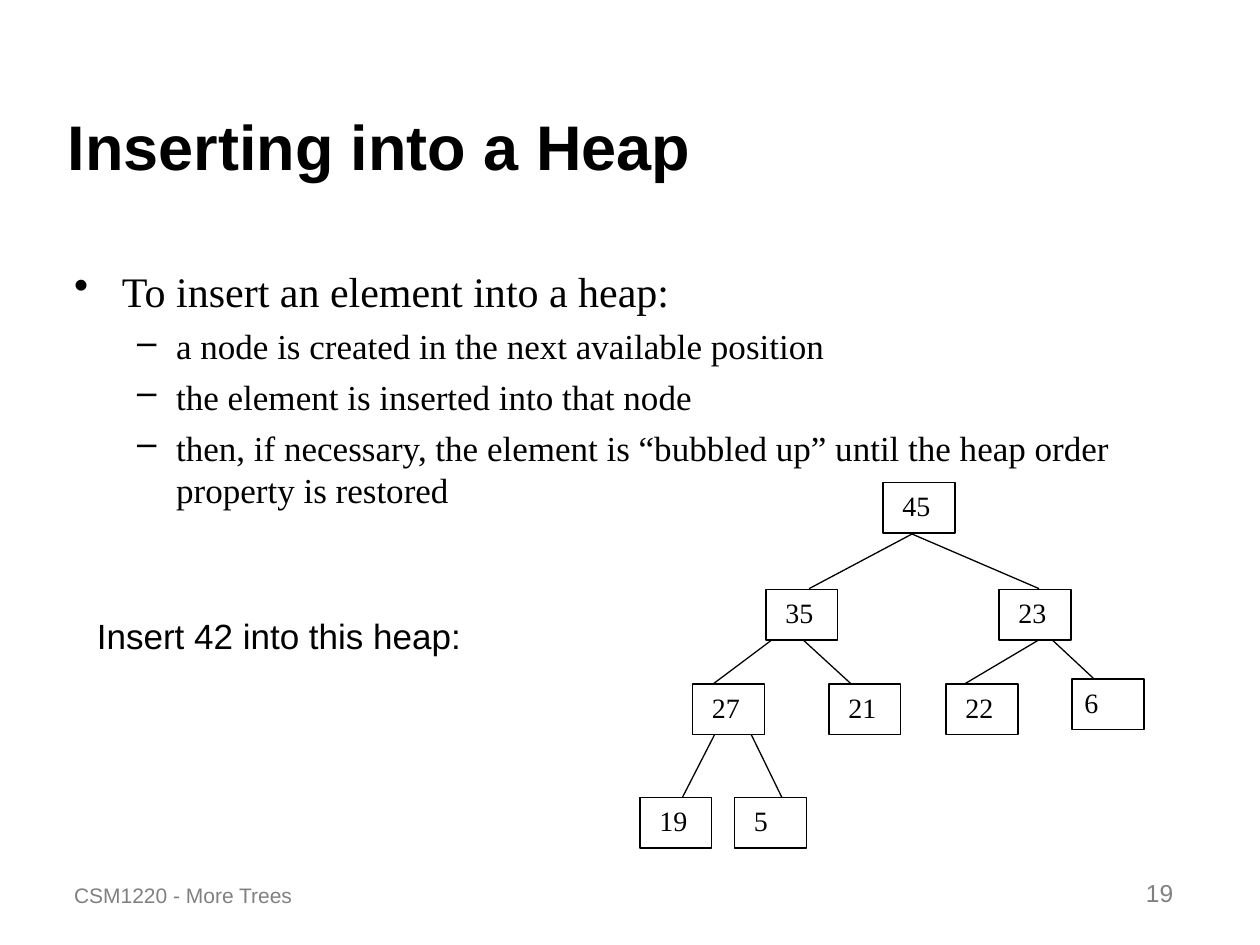
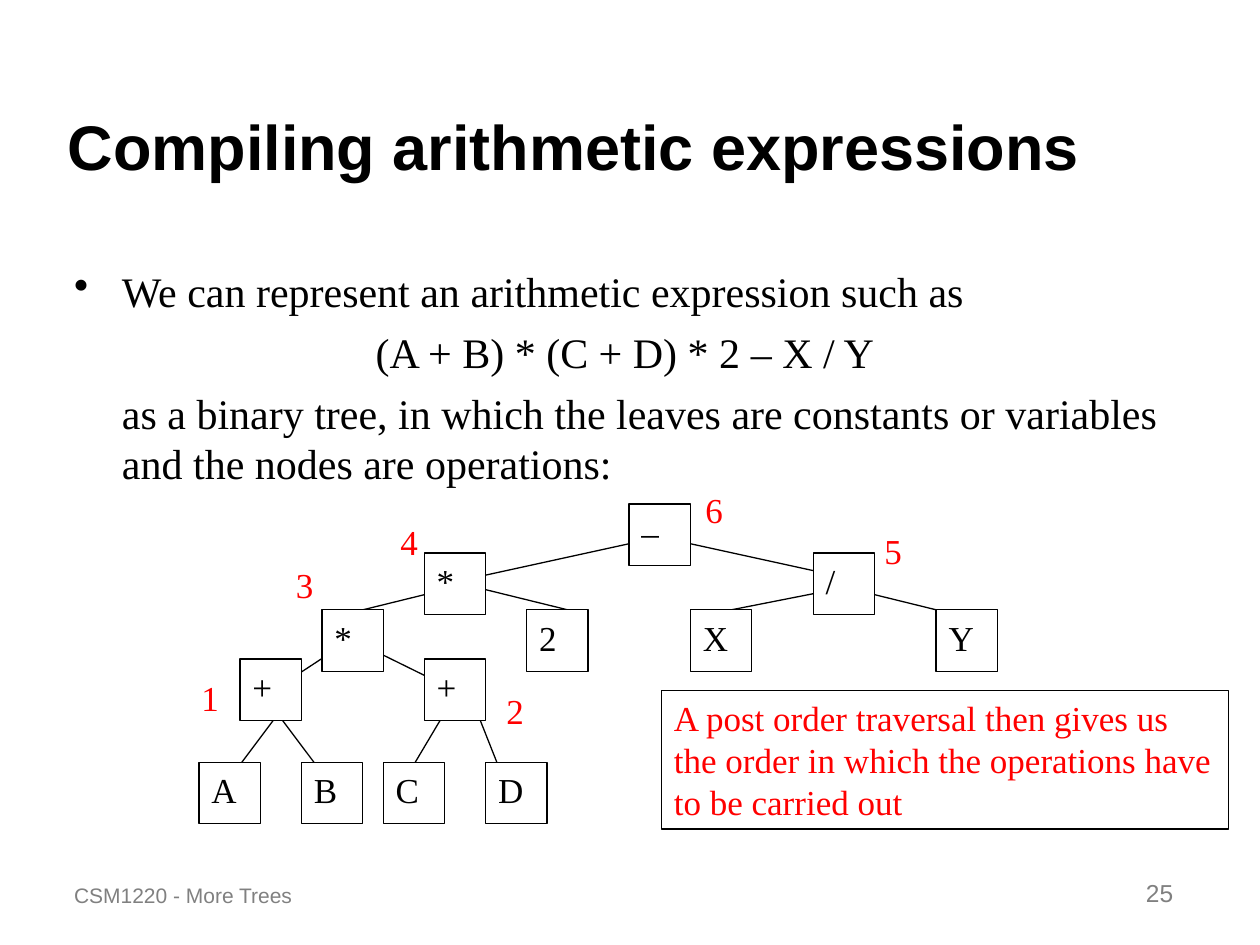
from dataclasses import dataclass
from typing import NamedTuple

from lxml import etree
from pptx import Presentation
from pptx import util as u
from pptx.dml.color import RGBColor
from pptx.enum import shapes, text
from pptx.oxml.ns import qn

# Shared look
BLACK, WHITE, GREY, RED = "000000", "FFFFFF", "808080", "FF0000"
SANS, SERIF = "Arial", "Times New Roman"
FOOTER = "CSM1220 - More Trees"


@dataclass(frozen=True)
class Grid:
    """Columns and rows, in inches, counted from a corner of a drawing."""
    left: float
    top: float
    column: float
    row: float

    def point(self, x: float, y: float) -> tuple:
        return u.Inches(self.left + x * self.column), u.Inches(self.top + y * self.row)

    def box(self, x: float, y: float, width: float, height: float) -> tuple:
        return (*self.point(x, y), u.Inches(width * self.column), u.Inches(height * self.row))


PAGE = Grid(0, 0, 0.1, 0.1)  # 100 columns by 75 rows
HEAP = Grid(5.08, 3.83, 1 / 12, 1 / 12)
EXPRESSION = Grid(1.58, 4, 0.65 / 8, 0.04)


class Style(NamedTuple):
    size: float
    font: str = SERIF
    color: str = BLACK
    bold: bool = False


class Para(NamedTuple):
    words: str
    style: Style
    before: float = 0
    align: text.PP_ALIGN = text.PP_ALIGN.LEFT
    margin: float = 0
    indent: float = 0
    bullet: str = ""


class Node(NamedTuple):
    words: str
    x: float
    y: float


class Link(NamedTuple):
    x1: float
    y1: float
    x2: float
    y2: float


@dataclass(frozen=True)
class Tree:
    grid: Grid
    node_size: tuple
    style: Style
    nodes: list
    links: list


TITLE = Style(36, SANS, bold=True)
BODY, DETAIL = Style(24), Style(20)
REMARK = Style(20, color=RED)


def rgb(color: str) -> RGBColor:
    return RGBColor.from_string(color)


def write(frame, paras: list[Para], anchor=text.MSO_ANCHOR.TOP, grow: bool = False) -> None:
    frame.word_wrap = True
    frame.vertical_anchor = anchor
    frame.auto_size = text.MSO_AUTO_SIZE.SHAPE_TO_FIT_TEXT if grow else text.MSO_AUTO_SIZE.NONE
    for number, para in enumerate(paras):
        line = frame.add_paragraph() if number else frame.paragraphs[0]
        line.alignment = para.align
        line.space_before = u.Pt(para.before)
        props = line._p.get_or_add_pPr()
        props.set("marL", str(u.Inches(para.margin)))
        props.set("indent", str(u.Inches(para.indent)))
        if para.bullet:
            bullet_color = etree.SubElement(props, qn("a:buClr"))
            etree.SubElement(bullet_color, qn("a:srgbClr")).set("val", BLACK)
            etree.SubElement(props, qn("a:buChar")).set("char", para.bullet)
        run = line.add_run()
        run.text = para.words
        run.font.size = u.Pt(para.style.size)
        run.font.name = para.style.font
        run.font.bold = para.style.bold
        run.font.color.rgb = rgb(para.style.color)


def add_text(slide, box: tuple, paras: list[Para], **options) -> None:
    write(slide.shapes.add_textbox(*box).text_frame, paras, **options)


def add_box(slide, box: tuple, para: Para, fill: str = "", width: float = 0.75,
            grow: bool = False) -> None:
    frame = slide.shapes.add_shape(shapes.MSO_SHAPE.RECTANGLE, *box)
    frame.shadow.inherit = False
    if fill:
        frame.fill.solid()
        frame.fill.fore_color.rgb = rgb(fill)
    else:
        frame.fill.background()
    frame.line.color.rgb = rgb(BLACK)
    frame.line.width = u.Pt(width)
    write(frame.text_frame, [para], grow=grow)


def add_tree(slide, tree: Tree) -> None:
    # Links go below the nodes, which cover their ends
    for link in tree.links:
        branch = slide.shapes.add_connector(
            shapes.MSO_CONNECTOR.STRAIGHT,
            *tree.grid.point(link.x1, link.y1), *tree.grid.point(link.x2, link.y2))
        branch.line.color.rgb = rgb(BLACK)
        branch.line.width = u.Pt(0.75)
        etree.SubElement(branch._element.spPr, qn("a:effectLst"))
    for node in tree.nodes:
        add_box(slide, tree.grid.box(node.x, node.y, *tree.node_size),
                Para(node.words, tree.style), fill=WHITE)


def add_page(deck, title: str, body: list[Para], body_height: float, number: int):
    slide = deck.slides.add_slide(deck.slide_layouts[6])
    bottom = text.MSO_ANCHOR.BOTTOM
    add_text(slide, PAGE.box(4.4, 2.5, 90.6, 12.5), [Para(title, TITLE)], anchor=bottom)
    add_text(slide, PAGE.box(4.9, 20.6, 89.4, body_height), body)
    add_text(slide, PAGE.box(4.9, 67.5, 30, 5),
             [Para(FOOTER, Style(12, SANS, GREY), 7.5)], anchor=bottom)
    add_text(slide, PAGE.box(73.3, 67.5, 20.8, 5),
             [Para(str(number), Style(14, SANS, GREY), 8.8, text.PP_ALIGN.RIGHT)],
             anchor=bottom)
    return slide


def point(words: str) -> Para:
    return Para(words, BODY, 6, margin=0.38, indent=-0.38, bullet="•")


def subpoint(words: str) -> Para:
    return Para(words, DETAIL, 5, margin=0.81, indent=-0.31, bullet="–")


# Heap before the insertion
HEAP_TREE = Tree(
    HEAP, (6.84, 4.8), Style(16),
    [Node(" 45", 23.15, 0), Node(" 35", 12, 10.2), Node(" 23", 34.2, 10.2),
     Node(" 27", 5, 19.2), Node(" 21", 18, 19.2), Node(" 22", 29.15, 19.2),
     Node("6", 41.15, 18.7), Node(" 19", 0, 30), Node(" 5", 9, 30)],
    [Link(25.9, 4.9, 16.1, 10.1), Link(25.9, 4.9, 38, 10.1),
     Link(13.2, 14.5, 6.8, 19.3), Link(15, 14.5, 21, 20),
     Link(38.8, 14.5, 30.7, 19.3), Link(38.2, 14, 44.2, 19.6),
     Link(7.1, 24, 3, 32), Link(10.1, 23, 14, 31)])

# Operations and operands of the expression
ROOT, SECOND, THIRD, FOURTH, LEAVES = 0, 9.75, 21, 30.75, 51.25
EXPRESSION_TREE = Tree(
    EXPRESSION, (6, 12.2), DETAIL,
    [Node("–", 42, ROOT), Node("*", 22, SECOND), Node("/", 60, SECOND),
     Node("*", 12, THIRD), Node("2", 32, THIRD), Node("X", 48, THIRD), Node("Y", 72, THIRD),
     Node("+", 4, FOURTH), Node("+", 22, FOURTH),
     Node("A", 0, LEAVES), Node("B", 10, LEAVES), Node("C", 18, LEAVES), Node("D", 28, LEAVES)],
    [Link(44, 7, 26, 15), Link(46, 7, 64, 15),
     Link(24, 17, 16, 21), Link(28, 17, 36, 21),
     Link(62, 17, 52, 21), Link(64, 17, 72, 21),
     Link(14, 28, 8, 36), Link(16, 28, 24, 36),
     Link(8.7, 39, 2.7, 55.25), Link(6.7, 39, 12.7, 55.25),
     Link(24.7, 39, 18.7, 59.5), Link(26.7, 39, 30.7, 59.5)])

# Order of the operations, placed on the page
ORDER = [Node("1", 15, 53.2), Node("2", 39.2, 54.2), Node("3", 22.5, 44.2),
         Node("4", 30.8, 40.8), Node("5", 69.2, 41.5), Node("6", 55, 38.3)]


def heap_page(deck) -> None:
    slide = add_page(deck, "Inserting into a Heap", [
        point("To insert an element into a heap:"),
        subpoint("a node is created in the next available position"),
        subpoint("the element is inserted into that node"),
        subpoint("then, if necessary, the element is “bubbled up” until the heap order "
                 "property is restored"),
    ], 45.6, 19)
    add_tree(slide, HEAP_TREE)
    add_text(slide, PAGE.box(6.7, 48.3, 40.8, 4.4),
             [Para("Insert 42 into this heap:", Style(20, SANS), 12.5)], grow=True)


def expression_page(deck) -> None:
    slide = add_page(deck, "Compiling arithmetic expressions", [
        point("We can represent an arithmetic expression such as"),
        Para("(A + B) * (C + D) * 2 – X / Y", BODY, 6, text.PP_ALIGN.CENTER, 0.38, -0.38),
        Para("as a binary tree, in which the leaves are constants or variables "
             "and the nodes are operations:", BODY, 6, margin=0.38),
    ], 19.4, 25)
    add_tree(slide, EXPRESSION_TREE)
    add_box(slide, PAGE.box(52.5, 54.8, 45, 11),
            Para("A post order traversal then gives us the order in which the operations "
                 "have to be carried out", REMARK, 12.5), width=1, grow=True)
    for step in ORDER:
        add_text(slide, PAGE.box(step.x, step.y, 4.2, 4.4),
                 [Para(step.words, REMARK, 12.5)], grow=True)


def main() -> None:
    deck = Presentation()
    deck.slide_width, deck.slide_height = PAGE.point(100, 75)
    heap_page(deck)
    expression_page(deck)
    deck.save("out.pptx")


if __name__ == "__main__":
    main()
